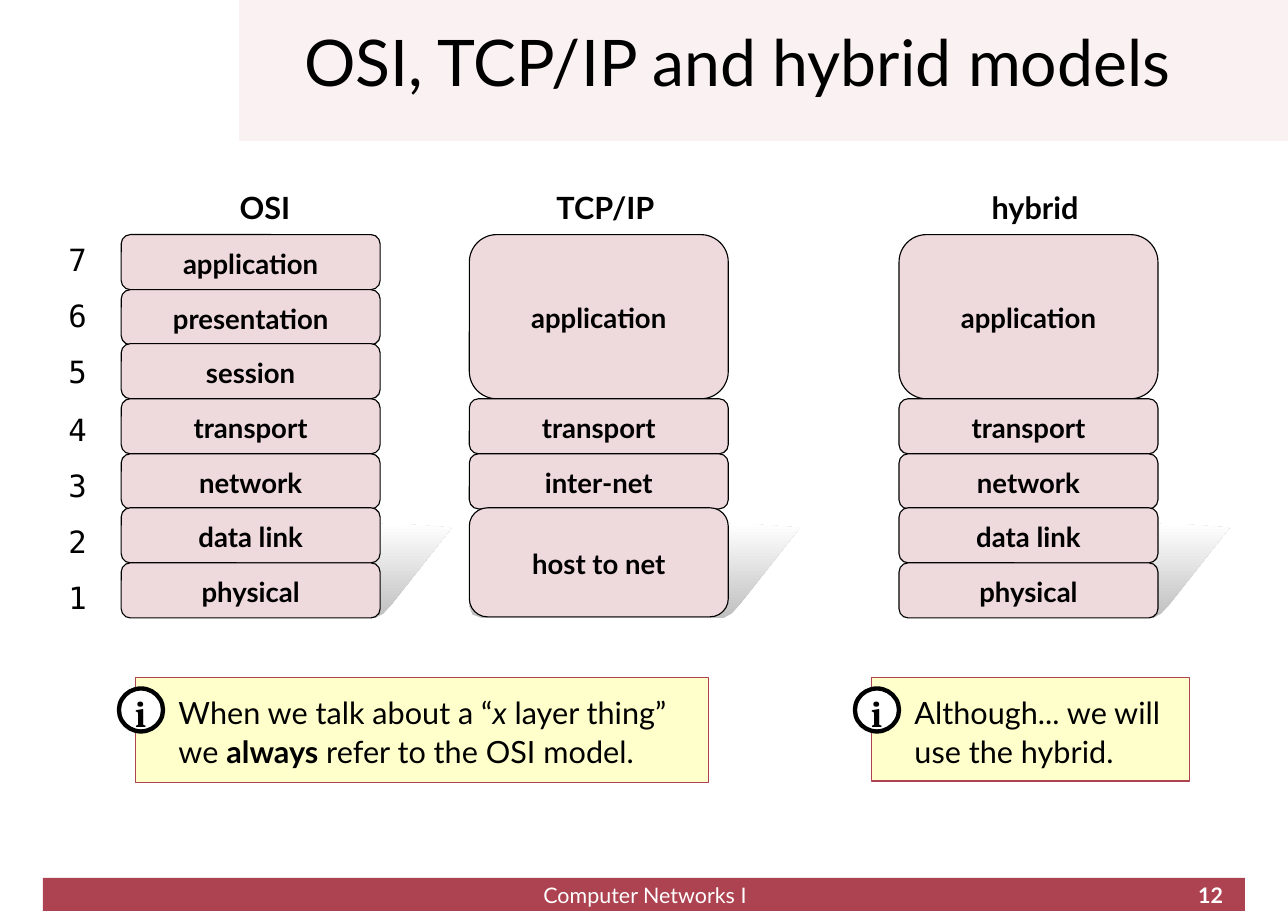
"""Build a slide comparing the OSI, TCP/IP and hybrid layer models."""
from dataclasses import dataclass

from lxml.etree import SubElement
from pptx import Presentation
from pptx.dml.color import RGBColor
from pptx.enum.shapes import MSO_SHAPE as SHAPE
from pptx.enum.text import MSO_ANCHOR as ANCHOR, PP_ALIGN as ALIGN
from pptx.oxml.ns import qn
from pptx.util import Pt

PX = 9144
FONT = "Lato"
COLORS = {
    "band": "F9F1F2", "accent": "AD4251", "layer": "EED9DC", "note": "FFFF99",
    "black": "000000", "white": "FFFFFF", "shade": "C0C0C0",
}
STACK_TOP, LAYER_WIDTH, LAYER_STEP = 213, 235, 49.7
NUMBER_TOP, NUMBER_STEP = 216, 51.2
SHADOW = [(11, 561), (3, 558), (0, 550), (58, 479), (100, 476), (179, 475),
          (258, 476), (300, 479), (246, 548), (238, 557), (231, 561)]


@dataclass(frozen=True)
class Box:
    left: int
    top: int
    width: int
    height: int

    def emu(self) -> tuple[int, ...]:
        return tuple(n * PX for n in (self.left, self.top, self.width, self.height))


@dataclass(frozen=True)
class Layer:
    name: str
    span: int = 1


@dataclass(frozen=True)
class Model:
    name: str
    left: int
    label_left: int
    layers: tuple[Layer, ...]


@dataclass(frozen=True)
class Piece:
    text: str
    bold: bool = False
    italic: bool = False


@dataclass(frozen=True)
class Note:
    box: Box
    lines: tuple[tuple[Piece, ...], ...]


MODELS = (
    Model("OSI", 110, 191, (
        Layer("application"), Layer("presentation"), Layer("session"), Layer("transport"),
        Layer("network"), Layer("data link"), Layer("physical"))),
    Model("TCP/IP", 426, 500, (
        Layer("application", 3), Layer("transport"), Layer("inter-net"),
        Layer("host to net", 2))),
    Model("hybrid", 816, 890, (
        Layer("application", 3), Layer("transport"), Layer("network"),
        Layer("data link"), Layer("physical"))),
)
NOTES = (
    Note(Box(123, 615, 520, 95), (
        (Piece("When we talk about a “"), Piece("x", italic=True), Piece(" layer thing”")),
        (Piece("we "), Piece("always", bold=True), Piece(" refer to the OSI model.")))),
    Note(Box(791, 615, 289, 94), ((Piece("Although... we will use the hybrid."),),)),
)


def rgb(name: str) -> RGBColor:
    return RGBColor.from_string(COLORS[name])


def style_run(r, size: int, color: str = "black", bold: bool = False,
              italic: bool = False, font: str = FONT) -> None:
    r.font.name, r.font.size = font, Pt(size)
    r.font.bold, r.font.italic = bold, italic
    r.font.color.rgb = rgb(color)


def prepare_frame(sp, anchor=ANCHOR.TOP, left: int = 0, top: int = 0):
    tf = sp.text_frame
    tf.word_wrap, tf.vertical_anchor = True, anchor
    tf.margin_left, tf.margin_top = left * PX, top * PX
    tf.margin_right = tf.margin_bottom = 0
    return tf


def write(sp, text: str, size: int, align=ALIGN.CENTER, anchor=ANCHOR.TOP,
          spacing: float = 1.08, **style) -> None:
    tf = prepare_frame(sp, anchor)
    tf.text = text
    p = tf.paragraphs[0]
    p.alignment, p.line_spacing = align, spacing
    style_run(p.runs[0], size, **style)


def add_text(shapes, box: Box, text: str, size: int, **style) -> None:
    write(shapes.add_textbox(*box.emu()), text, size, **style)


def add_panel(shapes, kind, box: Box, fill: str, line: str = "", width: float = 0):
    sp = shapes.add_shape(kind, *box.emu())
    sp.shadow.inherit = False
    sp.fill.solid()
    sp.fill.fore_color.rgb = rgb(fill)
    if line:
        sp.line.color.rgb = rgb(line)
        sp.line.width = Pt(width)
    else:
        sp.line.fill.background()
    return sp


def add_shadow(shapes, left: int) -> None:
    points = [(left + x, y) for x, y in SHADOW]
    builder = shapes.build_freeform(*points[0], scale=PX)
    builder.add_line_segments(points[1:], close=True)
    sp = builder.convert_to_shape()
    sp.shadow.inherit = False
    sp.line.fill.background()
    sp.fill.gradient()
    sp.fill.gradient_angle = 90
    for stop, color, position in zip(sp.fill.gradient_stops, ("shade", "white"), (0, 1)):
        stop.color.rgb = rgb(color)
        stop.position = position


def add_model(shapes, model: Model) -> None:
    add_text(shapes, Box(model.label_left, 169, 99, 42), model.name, 20, bold=True)
    row = 0
    for layer in model.layers:
        top = STACK_TOP + round(row * LAYER_STEP)
        box = Box(model.left, top, LAYER_WIDTH, round(layer.span * LAYER_STEP))
        sp = add_panel(shapes, SHAPE.ROUNDED_RECTANGLE, box, "layer", "black")
        write(sp, layer.name, 18, anchor=ANCHOR.MIDDLE, bold=True)
        row += layer.span


def add_note(shapes, note: Note) -> None:
    sp = add_panel(shapes, SHAPE.RECTANGLE, note.box, "note", "accent")
    color = sp.fill._xPr.find(qn("a:solidFill"))[0]
    SubElement(color, qn("a:alpha")).set("val", "50000")
    tf = prepare_frame(sp, left=39, top=12)
    for i, line in enumerate(note.lines):
        p = tf.add_paragraph() if i else tf.paragraphs[0]
        p.alignment, p.line_spacing = ALIGN.LEFT, 1.08
        for piece in line:
            r = p.add_run()
            r.text = piece.text
            style_run(r, 20, bold=piece.bold, italic=piece.italic)
    badge = shapes.add_group_shape().shapes
    left, top = note.box.left, note.box.top
    add_panel(badge, SHAPE.OVAL, Box(left - 15, top + 10, 40, 39), "white", "black", 2.83)
    add_text(badge, Box(left - 5, top + 9, 19, 49), "i", 24, bold=True, font="Cambria")


def main() -> None:
    prs = Presentation()
    prs.slide_width, prs.slide_height = 1169 * PX, 827 * PX
    s = prs.slides.add_slide(prs.slide_layouts[5])
    shapes = s.shapes
    add_panel(shapes, SHAPE.RECTANGLE, Box(217, 0, 952, 128), "band")
    add_panel(shapes, SHAPE.RECTANGLE, Box(39, 797, 1091, 30), "accent")
    for model in reversed(MODELS):
        add_shadow(shapes, model.left)
    title = shapes.title
    title.left, title.top, title.width, title.height = Box(276, 0, 871, 124).emu()
    write(title, "OSI, TCP/IP and hybrid models", 42, ALIGN.LEFT, ANCHOR.MIDDLE, 0.8)
    shapes.element.append(title.element)
    for model in MODELS:
        add_model(shapes, model)
    for i in range(7):
        top = NUMBER_TOP + round(i * NUMBER_STEP)
        add_text(shapes, Box(62, top, 32, 41), str(7 - i), 20, align=ALIGN.LEFT,
                 font="DejaVu Sans Mono")
    for note in NOTES:
        add_note(shapes, note)
    add_text(shapes, Box(400, 801, 371, 23), "Computer Networks I", 14,
             spacing=1.0, color="white")
    add_text(shapes, Box(838, 801, 272, 23), "12", 14, align=ALIGN.RIGHT,
             spacing=1.0, color="white", bold=True)
    prs.save("out.pptx")


if __name__ == "__main__":
    main()
